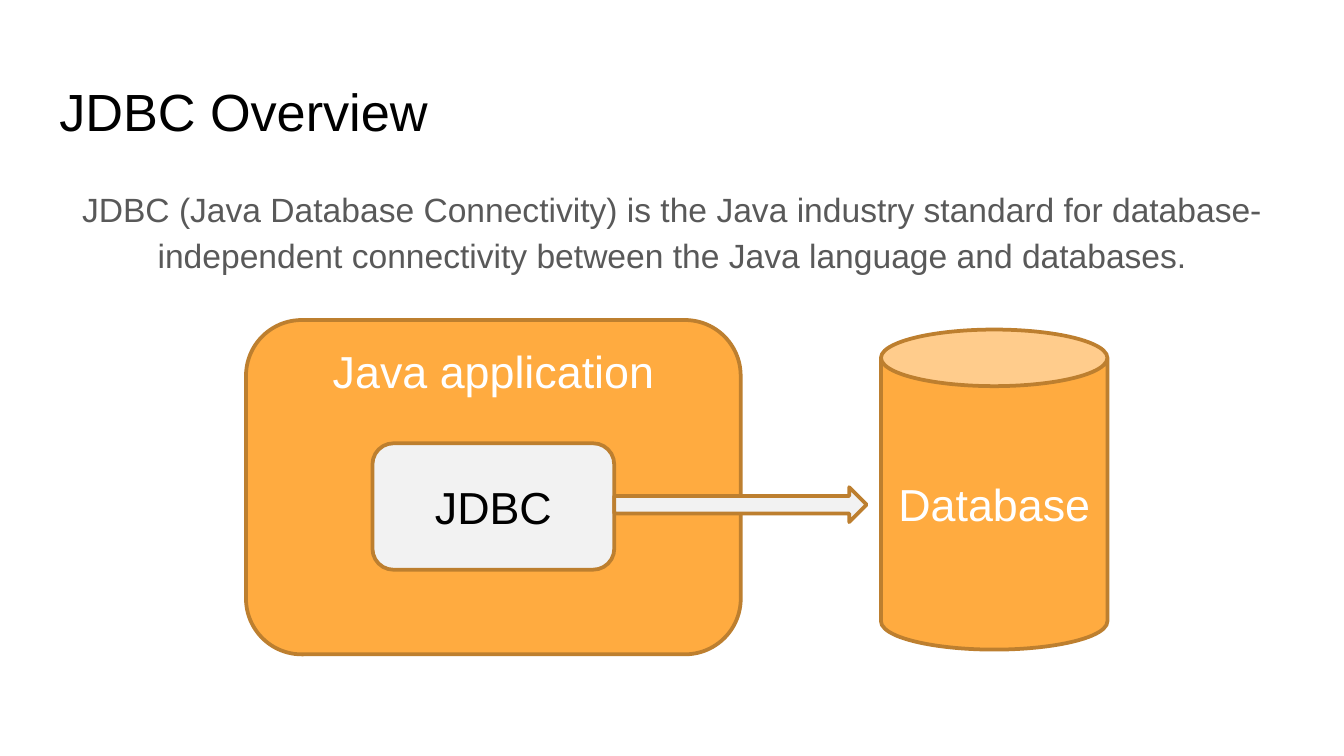
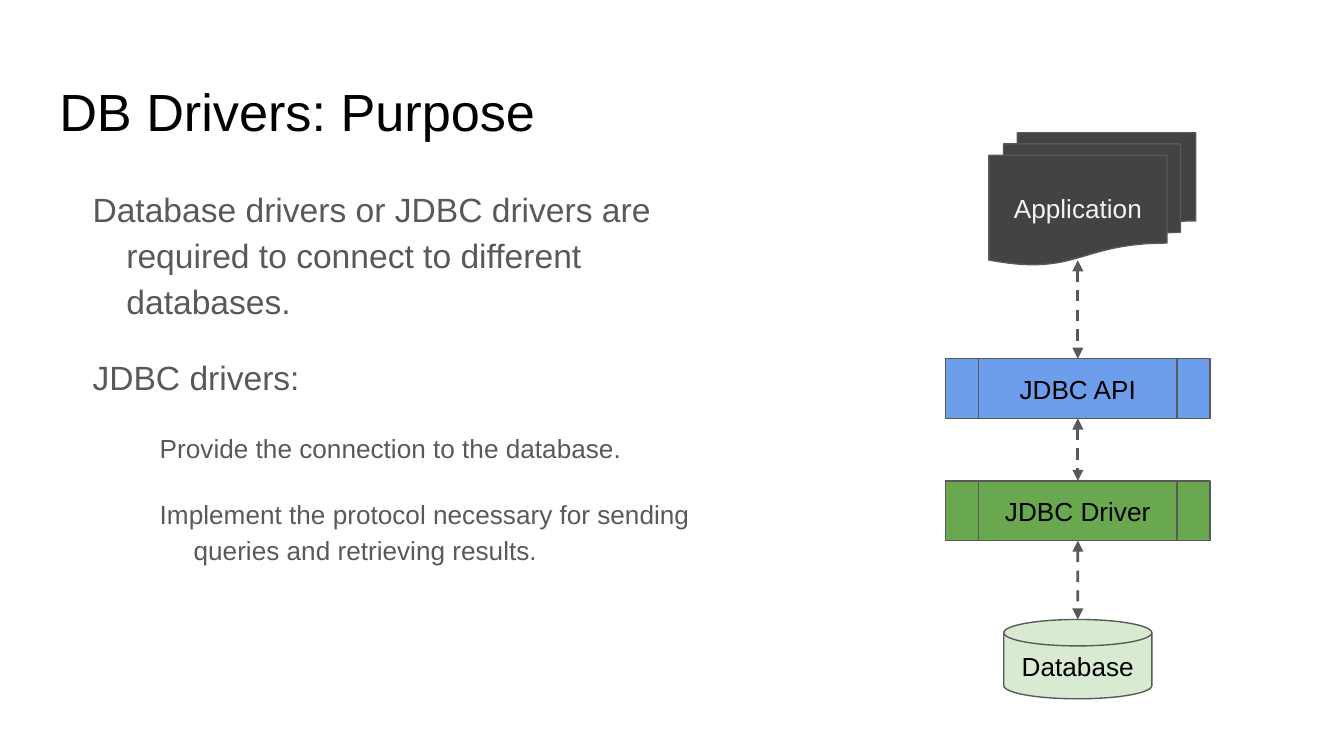
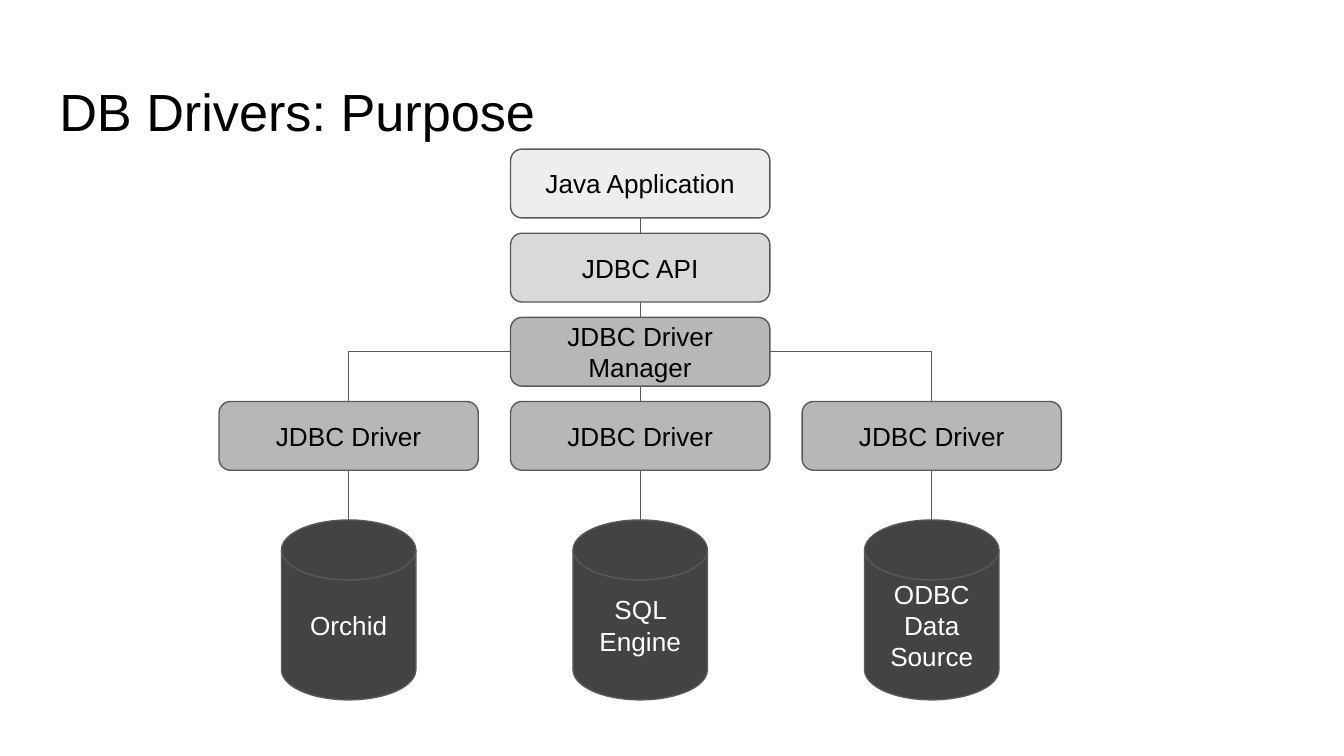
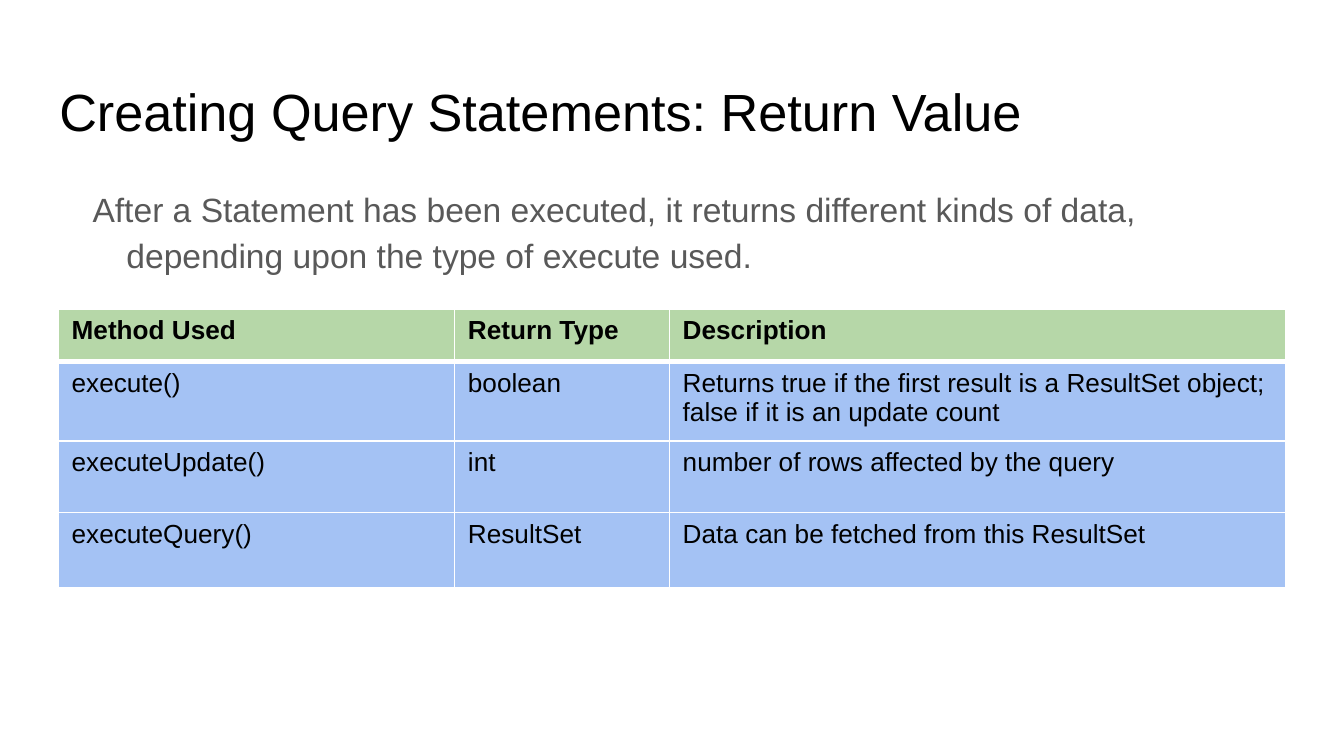
import pptx
import pptx.dml.color
import pptx.enum.dml
import pptx.enum.shapes
import pptx.enum.text
import pptx.oxml.ns
import pptx.util
from lxml import etree

Cm = pptx.util.Cm
Pt = pptx.util.Pt
SHAPE = pptx.enum.shapes.MSO_SHAPE
CONNECTOR = pptx.enum.shapes.MSO_CONNECTOR
ALIGN = pptx.enum.text.PP_ALIGN
ANCHOR = pptx.enum.text.MSO_ANCHOR
qn = pptx.oxml.ns.qn

FONT = "Arial"
TITLE_ONLY = 5
INSET = 0.25
BODY_TOP = 3.2
MARGIN = 0.87
CONTENT_WIDTH = 23.67
TOP, LEFT, BOTTOM, RIGHT = range(4)
COLORS = {
    "black": "000000",
    "white": "FFFFFF",
    "body": "595959",
    "outline": "595959",
    "orange": "FFAB40",
    "orange_outline": "BD7F2F",
    "pale": "F2F2F2",
    "dark": "434343",
    "dark_text": "F3F3F3",
    "api_blue": "6D9EEB",
    "driver_green": "6AA84F",
    "disk_green": "D9EAD3",
    "application_gray": "EEEEEE",
    "api_gray": "D9D9D9",
    "driver_gray": "B7B7B7",
    "table_header": "B6D7A8",
    "table_row": "A4C2F4",
}


def rgb(name):
    return pptx.dml.color.RGBColor.from_string(COLORS[name])


def write_text(text_frame, text, size=14, color="black", bold=False, align=ALIGN.LEFT,
               first=True, level=0, indent=None, line_spacing=None, space_after=None):
    paragraph = text_frame.paragraphs[0] if first else text_frame.add_paragraph()
    paragraph.alignment = align
    paragraph.level = level
    if line_spacing:
        paragraph.line_spacing = line_spacing
    if space_after:
        paragraph.space_after = Pt(space_after)
    if indent:
        properties = paragraph._p.get_or_add_pPr()
        properties.set("marL", str(Cm(indent[0])))
        properties.set("indent", str(Cm(indent[1])))
    run = paragraph.add_run()
    run.text = text
    run.font.name = FONT
    run.font.size = Pt(size)
    run.font.bold = bold
    run.font.color.rgb = rgb(color)


def format_frame(text_frame, anchor=ANCHOR.TOP, inset=INSET):
    text_frame.word_wrap = True
    text_frame.auto_size = pptx.enum.text.MSO_AUTO_SIZE.NONE
    text_frame.vertical_anchor = anchor
    text_frame.margin_left = text_frame.margin_right = Cm(inset)
    text_frame.margin_top = text_frame.margin_bottom = Cm(inset)


def add_titled_slide(presentation, title):
    slide = presentation.slides.add_slide(presentation.slide_layouts[TITLE_ONLY])
    placeholder = slide.shapes.title
    placeholder.left, placeholder.top = Cm(MARGIN), Cm(1.24)
    placeholder.width, placeholder.height = Cm(CONTENT_WIDTH), Cm(1.59)
    format_frame(placeholder.text_frame)
    write_text(placeholder.text_frame, title, size=28)
    return slide


def add_body(slide, width, height, items, align=ALIGN.LEFT, hanging=True):
    box = slide.shapes.add_textbox(Cm(MARGIN), Cm(BODY_TOP), Cm(width), Cm(height))
    format_frame(box.text_frame)
    for index, (level, text) in enumerate(items):
        write_text(box.text_frame, text, size=14 if level else 18, color="body",
                   align=align, first=index == 0, level=level,
                   indent=(1.27 * (level + 1), -0.64) if hanging else None,
                   line_spacing=1.15, space_after=16)


def add_block(shapes, kind, left, top, width, height, fill, text="", size=14,
              text_color="black", outline="outline", outline_width=0.75,
              anchor=ANCHOR.MIDDLE, inset=INSET):
    shape = shapes.add_shape(kind, Cm(left), Cm(top), Cm(width), Cm(height))
    shape.shadow.inherit = False
    shape.fill.solid()
    shape.fill.fore_color.rgb = rgb(fill)
    shape.line.color.rgb = rgb(outline)
    shape.line.width = Pt(outline_width)
    if text:
        format_frame(shape.text_frame, anchor, inset)
        write_text(shape.text_frame, text, size=size, color=text_color, align=ALIGN.CENTER)
    return shape


def side_point(shape, side):
    center_x = shape.left + shape.width // 2
    center_y = shape.top + shape.height // 2
    return {
        TOP: (center_x, shape.top),
        LEFT: (shape.left, center_y),
        BOTTOM: (center_x, shape.top + shape.height),
        RIGHT: (shape.left + shape.width, center_y),
    }[side]


def join(slide, source, target, source_side=BOTTOM, target_side=TOP, elbow=False,
         width=0.75, dashed=False, start_lift=0):
    start_x, start_y = side_point(source, source_side)
    if start_lift:
        start_x, start_y = side_point(target, target_side)[0], start_y - Cm(start_lift)
    end = side_point(target, target_side)
    connector = slide.shapes.add_connector(
        CONNECTOR.ELBOW if elbow else CONNECTOR.STRAIGHT, start_x, start_y, *end)
    boxes = (SHAPE.ROUNDED_RECTANGLE, SHAPE.FLOWCHART_PREDEFINED_PROCESS)
    if source.auto_shape_type in boxes:
        connector.begin_connect(source, source_side)
    if target.auto_shape_type in boxes:
        connector.end_connect(target, target_side)
    connector.line.color.rgb = rgb("outline")
    connector.line.width = Pt(width)
    properties = connector._element.spPr
    if elbow:
        properties.find(qn("a:prstGeom")).set("prst", "bentConnector2")
    if dashed:
        connector.line.dash_style = pptx.enum.dml.MSO_LINE.DASH
        for tag in ("a:headEnd", "a:tailEnd"):
            etree.SubElement(properties.find(qn("a:ln")), qn(tag), type="triangle")
    etree.SubElement(properties, qn("a:effectLst"))


def add_cell_border(cell, tag, width):
    line = etree.SubElement(cell._tc.get_or_add_tcPr(), qn(tag), w=str(Pt(width)))
    fill = etree.SubElement(line, qn("a:solidFill"))
    etree.SubElement(fill, qn("a:srgbClr"), val=COLORS["white"])


def add_table(slide, left, top, column_widths, row_heights, rows):
    table = slide.shapes.add_table(
        len(rows), len(column_widths), Cm(left), Cm(top),
        Cm(sum(column_widths)), Cm(sum(row_heights))).table
    table.horz_banding = False
    for column, width in zip(table.columns, column_widths):
        column.width = Cm(width)
    for row_index, (height, texts) in enumerate(zip(row_heights, rows)):
        table.rows[row_index].height = Cm(height)
        header = row_index == 0
        for column_index, text in enumerate(texts):
            cell = table.cell(row_index, column_index)
            borders = {"a:lnL": 1, "a:lnR": 1, "a:lnT": 3 if row_index == 1 else 1,
                       "a:lnB": 3 if header else 1}
            for tag, width in borders.items():
                add_cell_border(cell, tag, width)
            cell.fill.solid()
            cell.fill.fore_color.rgb = rgb("table_header" if header else "table_row")
            write_text(cell.text_frame, text, bold=header)


def build_overview(presentation):
    slide = add_titled_slide(presentation, "JDBC Overview")
    add_body(slide, CONTENT_WIDTH, 9.83, [
        (0, "JDBC (Java Database Connectivity) is the Java industry standard for "
            "database-independent connectivity between the Java language and databases."),
    ], align=ALIGN.CENTER, hanging=False)
    style = {"outline": "orange_outline", "outline_width": 2, "size": 24, "inset": 0.13}
    group = slide.shapes.add_group_shape()
    add_block(group.shapes, SHAPE.ROUNDED_RECTANGLE, 4.65, 6.05, 9.35, 6.32, "orange",
              "Java application", text_color="white", anchor=ANCHOR.TOP, **style)
    add_block(group.shapes, SHAPE.ROUNDED_RECTANGLE, 7.04, 8.38, 4.57, 2.39, "pale",
              "JDBC", **style)
    add_block(group.shapes, SHAPE.RIGHT_ARROW, 11.61, 9.21, 4.77, 0.66, "pale", **style)
    add_block(slide.shapes, SHAPE.CAN, 16.65, 6.23, 4.28, 6.05, "orange",
              "Database", text_color="white", **style)


def build_driver_stack(presentation):
    slide = add_titled_slide(presentation, "DB Drivers: Purpose")
    add_body(slide, 13.13, 9.5, [
        (0, "Database drivers or JDBC drivers are required to connect to different databases."),
        (0, "JDBC drivers:"),
        (1, "Provide the connection to the database."),
        (1, "Implement the protocol necessary for sending queries and retrieving results."),
    ])
    process = SHAPE.FLOWCHART_PREDEFINED_PROCESS
    application = add_block(slide.shapes, SHAPE.FLOWCHART_MULTIDOCUMENT, 18.69, 2.51, 3.91, 2.5,
                            "dark", "Application", text_color="dark_text")
    api = add_block(slide.shapes, process, 17.87, 6.78, 5.0, 1.13, "api_blue", "JDBC API")
    driver = add_block(slide.shapes, process, 17.87, 9.09, 5.0, 1.13,
                       "driver_green", "JDBC Driver")
    database = add_block(slide.shapes, SHAPE.FLOWCHART_MAGNETIC_DISK, 18.97, 11.71, 2.8, 1.5,
                         "disk_green", "Database")
    join(slide, application, api, width=1.5, dashed=True, start_lift=0.09)
    join(slide, api, driver, width=1.5, dashed=True)
    join(slide, driver, database, width=1.5, dashed=True)


def build_driver_tree(presentation):
    slide = add_titled_slide(presentation, "DB Drivers: Purpose")
    box_width, box_height, disk_width = 4.9, 1.3, 2.54
    lefts = [4.14 + 5.51 * column for column in range(3)]
    tops = [2.82 + 1.59 * row for row in range(4)]

    def add_box(column, row, fill, text):
        return add_block(slide.shapes, SHAPE.ROUNDED_RECTANGLE, lefts[column], tops[row],
                         box_width, box_height, fill, text)

    layers = [("application_gray", "Java Application"), ("api_gray", "JDBC API"),
              ("driver_gray", "JDBC Driver Manager")]
    stack = [add_box(1, row, *layer) for row, layer in enumerate(layers)]
    drivers = [add_box(column, 3, "driver_gray", "JDBC Driver") for column in range(3)]
    disks = [
        add_block(slide.shapes, SHAPE.FLOWCHART_MAGNETIC_DISK,
                  left + (box_width - disk_width) / 2, 9.83, disk_width, 3.4,
                  "dark", text, text_color="white")
        for left, text in zip(lefts, ["Orchid", "SQL Engine", "ODBC Data Source"])
    ]
    manager = stack[-1]
    chain = stack + [drivers[1]]
    for upper, lower in list(zip(chain, chain[1:])) + list(zip(drivers, disks)):
        join(slide, upper, lower)
    join(slide, manager, drivers[0], source_side=LEFT, elbow=True)
    join(slide, manager, drivers[2], source_side=RIGHT, elbow=True)


def build_return_values(presentation):
    slide = add_titled_slide(presentation, "Creating Query Statements: Return Value")
    add_body(slide, CONTENT_WIDTH, 2.74, [
        (0, "After a Statement has been executed, it returns different kinds of data, "
            "depending upon the type of execute used."),
    ])
    add_table(slide, 1.1, 5.85, [7.49, 4.06, 11.66], [0.99, 1.5, 1.35, 1.42], [
        ["Method Used", "Return Type", "Description"],
        ["execute()", "boolean", "Returns true if the first result is a ResultSet object; "
                                 "false if it is an update count"],
        ["executeUpdate()", "int", "number of rows affected by the query"],
        ["executeQuery()", "ResultSet", "Data can be fetched from this ResultSet"],
    ])


def main():
    presentation = pptx.Presentation()
    presentation.slide_width = Cm(25.4)
    presentation.slide_height = Cm(14.29)
    build_overview(presentation)
    build_driver_stack(presentation)
    build_driver_tree(presentation)
    build_return_values(presentation)
    presentation.save("out.pptx")


if __name__ == "__main__":
    main()
